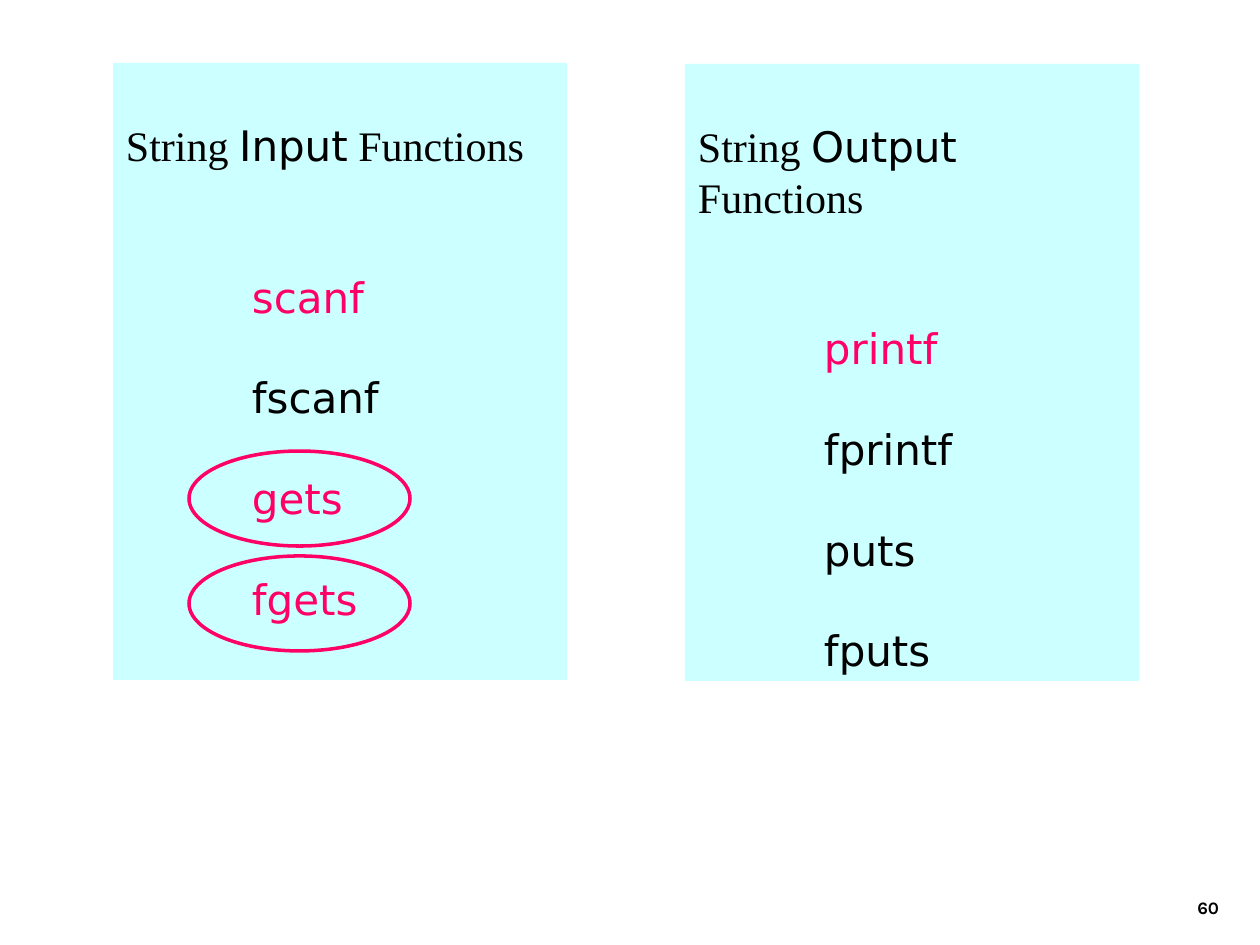
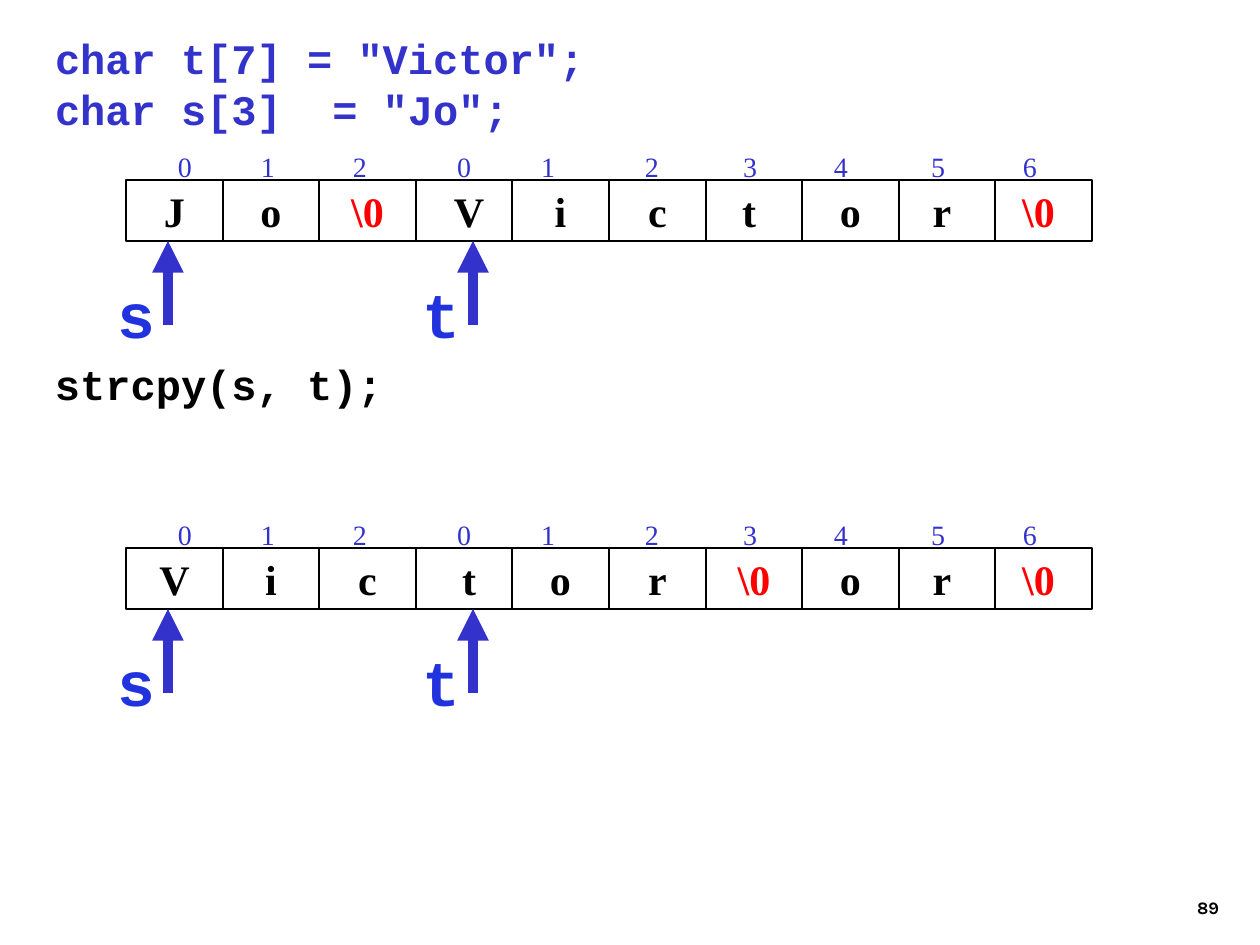
from dataclasses import dataclass

import pptx
import pptx.dml.color
import pptx.enum.shapes
import pptx.enum.text
import pptx.oxml
import pptx.oxml.ns
import pptx.util

EMU_PER_PX = 914400 / 126
ALIGN = pptx.enum.text.PP_ALIGN
ANCHOR = pptx.enum.text.MSO_ANCHOR
SHAPE = pptx.enum.shapes.MSO_SHAPE


@dataclass(frozen=True)
class Theme:
    black: str = "000000"
    panel: str = "CCFFFF"
    pink: str = "FF0066"
    red: str = "FF0000"
    indigo: str = "3333CC"
    label_blue: str = "2133DF"
    serif: str = "Times New Roman"
    sans: str = "DejaVu Sans"
    mono: str = "Courier New"
    footer: str = "Karla"
    body_size: int = 24
    body_leading: float = 28.8
    label_size: int = 36
    label_leading: float = 43.2
    index_size: int = 16
    footer_size: int = 10


THEME = Theme()
ROW_LEFT, ROW_WIDTH = 126, 966
INDEXES = "0120123456"
INDEX_CENTERS = (46, 129, 221, 325, 409, 513, 611, 702, 799, 891)
NUDGES = (0, 0, 0, 5, 0, 0, -5, 0, -5, -5)
MERGED_NUDGES = (0, 0, 0, 5, 0, 0, 0, 0, -5, -5)


def px(length):
    return pptx.util.Emu(round(length * EMU_PER_PX))


def rgb(color):
    return pptx.dml.color.RGBColor.from_string(color)


def add_tab_stops(paragraph, positions):
    properties = paragraph._p.get_or_add_pPr()
    tab_list = pptx.oxml.parse_xml(f"<a:tabLst {pptx.oxml.ns.nsdecls('a')}/>")
    for position in positions:
        tab_list.append(pptx.oxml.parse_xml(
            f"<a:tab {pptx.oxml.ns.nsdecls('a')} pos=\"{px(position)}\" algn=\"ctr\"/>"))
    properties.append(tab_list)


def write_text(shape, paragraphs, *, font=THEME.serif, size=THEME.body_size, color=THEME.black,
               bold=False, align=ALIGN.LEFT, anchor=ANCHOR.TOP, leading=None, gaps=(),
               indents=(), inset_top=6, nudge=0, tabs=()):
    frame = shape.text_frame
    frame.word_wrap = True
    frame.vertical_anchor = anchor
    frame.margin_left, frame.margin_right = px(13 + nudge), px(13 - nudge)
    frame.margin_top, frame.margin_bottom = px(inset_top), px(6)
    for number, runs in enumerate(paragraphs):
        paragraph = frame.add_paragraph() if number else frame.paragraphs[0]
        paragraph.alignment = align
        if leading:
            paragraph.line_spacing = pptx.util.Pt(leading)
        if gaps and number:
            paragraph.space_before = pptx.util.Pt(gaps[number])
        if indents and indents[number]:
            paragraph._p.get_or_add_pPr().set("marL", str(px(indents[number])))
        if tabs:
            add_tab_stops(paragraph, tabs)
        for words, run_font, run_color in ([(runs, font, color)] if isinstance(runs, str) else runs):
            run = paragraph.add_run()
            run.text = words
            run.font.name = run_font
            run.font.size = pptx.util.Pt(size)
            run.font.bold = bold
            run.font.color.rgb = rgb(run_color)


def add_text(slide, left, top, width, height, paragraphs, **text_format):
    box = slide.shapes.add_textbox(px(left), px(top), px(width), px(height))
    write_text(box, paragraphs, **text_format)


def add_outline(slide, kind, left, top, width, height, fill=None, line=None, line_width=1):
    shape = slide.shapes.add_shape(kind, px(left), px(top), px(width), px(height))
    shape.shadow.inherit = False
    if fill:
        shape.fill.solid()
        shape.fill.fore_color.rgb = rgb(fill)
    else:
        shape.fill.background()
    if line:
        shape.line.color.rgb = rgb(line)
        shape.line.width = pptx.util.Pt(line_width)
    else:
        shape.line.fill.background()
    return shape


def add_page_number(slide, number):
    add_text(slide, 970, 861, 262, 63, [number], font=THEME.footer, size=THEME.footer_size,
             bold=True, align=ALIGN.RIGHT, anchor=ANCHOR.BOTTOM)


def add_function_panel(slide, left, top, heading, functions, highlighted):
    panel = add_outline(slide, SHAPE.RECTANGLE, left, top, 454, 617, fill=THEME.panel)
    title = [("String ", THEME.serif, THEME.black), (heading, THEME.sans, THEME.black),
             (" Functions", THEME.serif, THEME.black)]
    items = [[(name, THEME.sans, THEME.pink if name in highlighted else THEME.black)]
             for name in functions]
    line = THEME.body_leading
    write_text(panel, [title] + items, leading=line, inset_top=57,
               gaps=[0, 2 * line] + [line] * (len(items) - 1),
               indents=[0] + [126] * len(items))


def add_code(slide, top, width, lines, color):
    add_text(slide, 42, top, width, 113, lines, font=THEME.mono, color=color, bold=True,
             leading=THEME.body_leading, inset_top=12)


def add_pointer(slide, name, x, cell_bottom):
    add_text(slide, x - 63, cell_bottom + 21, 63, 88, [name], font=THEME.mono,
             size=THEME.label_size, color=THEME.label_blue, bold=True, align=ALIGN.RIGHT,
             leading=THEME.label_leading, inset_top=14)
    arrow = slide.shapes.add_connector(pptx.enum.shapes.MSO_CONNECTOR.STRAIGHT,
                                       px(x), px(cell_bottom + 84), px(x), px(cell_bottom))
    arrow.line.color.rgb = rgb(THEME.indigo)
    arrow.line.width = pptx.util.Pt(6)
    namespace = pptx.oxml.ns.nsdecls("a")
    arrow.line._get_or_add_ln().append(
        pptx.oxml.parse_xml(f'<a:tailEnd {namespace} type="triangle"/>'))
    arrow._element.spPr.append(pptx.oxml.parse_xml(f"<a:effectLst {namespace}/>"))


def add_memory_row(slide, top, characters, nudges):
    add_text(slide, ROW_LEFT, top - 44, ROW_WIDTH, 61,
             ["".join("\t" + index for index in INDEXES)], size=THEME.index_size,
             color=THEME.indigo, anchor=ANCHOR.MIDDLE, tabs=INDEX_CENTERS)
    edges = [ROW_LEFT + round(ROW_WIDTH * i / len(characters)) for i in range(len(characters) + 1)]
    for left, right, character, nudge in zip(edges, edges[1:], characters, nudges):
        cell = add_outline(slide, SHAPE.RECTANGLE, left, top, right - left, 61,
                           line=THEME.black, line_width=0.75)
        write_text(cell, [character], color=THEME.red if character == r"\0" else THEME.black,
                   bold=True, align=ALIGN.CENTER, anchor=ANCHOR.MIDDLE, nudge=nudge)
    for name, x in (("s", 168), ("t", 473)):
        add_pointer(slide, name, x, top + 61)


def build_functions_slide(slide):
    add_page_number(slide, "60")
    add_function_panel(slide, 113, 63, "Input", ["scanf", "fscanf", "gets", "fgets"],
                       {"scanf", "gets", "fgets"})
    add_function_panel(slide, 685, 64, "Output", ["printf", "fprintf", "puts", "fputs"],
                       {"printf"})
    for top in (451, 556):
        add_outline(slide, SHAPE.OVAL, 189, top, 221, 95, line=THEME.pink, line_width=2)


def build_strcpy_slide(slide):
    add_page_number(slide, "89")
    add_code(slide, 347, 935, ["strcpy(s, t);"], THEME.black)
    add_memory_row(slide, 180, ["J", "o", r"\0", *"Victor", r"\0"], NUDGES)
    add_code(slide, 21, 588, ['char t[7] = "Victor";', 'char s[3]  = "Jo";'], THEME.indigo)
    add_memory_row(slide, 548, [*"Victor", r"\0", "o", "r", r"\0"], MERGED_NUDGES)


def main():
    presentation = pptx.Presentation()
    presentation.slide_width, presentation.slide_height = px(1260), px(945)
    for build in (build_functions_slide, build_strcpy_slide):
        build(presentation.slides.add_slide(presentation.slide_layouts[6]))
    presentation.save("out.pptx")


if __name__ == "__main__":
    main()
